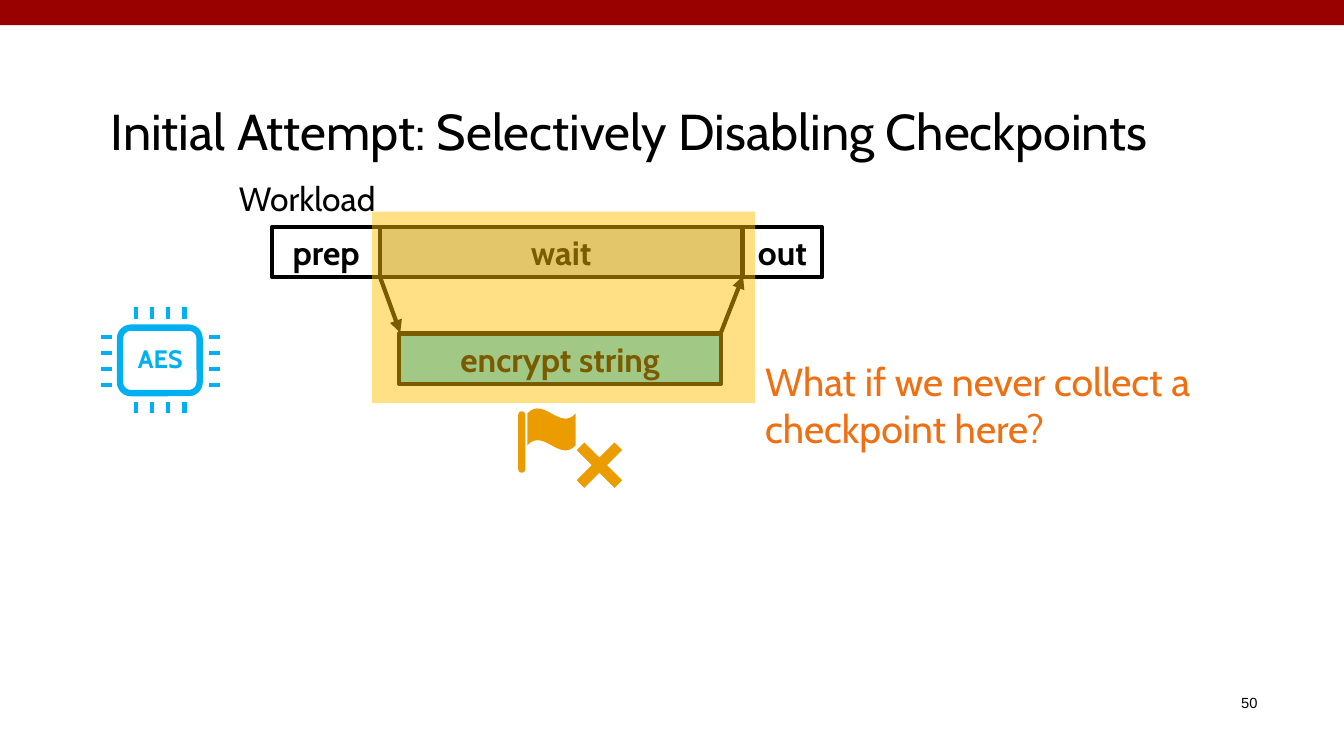
"""Build the slide on selectively disabling checkpoints."""
from lxml.etree import SubElement
from pptx import Presentation
from pptx.dml.color import RGBColor
from pptx.enum.shapes import MSO_CONNECTOR as Connector, MSO_SHAPE as Shape
from pptx.enum.text import MSO_ANCHOR as Anchor, PP_ALIGN as Align
from pptx.oxml.ns import qn
from pptx.util import Inches, Pt

COLORS = {
    "banner": "990000", "black": "000000", "white": "FFFFFF", "gray": "CCCCCC",
    "accelerator": "4BD0FF", "chip": "00B0F0", "flag": "EA9C00",
    "question": "EE7012", "highlight": "FFC000",
}
PIN_LENGTH = 0.11
PIN_PITCH = 0.16


def rgb(name):
    return RGBColor.from_string(COLORS[name])


def write(shape, text, size, color="black", align=Align.LEFT, anchor=Anchor.TOP,
          bold=False, font="Cabin"):
    frame = shape.text_frame
    frame.word_wrap = True
    frame.vertical_anchor = anchor
    paragraph = frame.paragraphs[0]
    paragraph.alignment = align
    run = paragraph.add_run()
    run.text = text
    for key, value in {"name": font, "size": Pt(size), "bold": bold}.items():
        setattr(run.font, key, value)
    run.font.color.rgb = rgb(color)


def add_text(shapes, box, text, size, **style):
    write(shapes.add_textbox(*map(Inches, box)), text, size, **style)


def add_block(shapes, kind, box, fill=None, line=None, width=3, adjust=None):
    shape = shapes.add_shape(kind, *map(Inches, box))
    shape.shadow.inherit = False
    if fill:
        shape.fill.solid()
        shape.fill.fore_color.rgb = rgb(fill)
    else:
        shape.fill.background()
    if line:
        shape.line.color.rgb = rgb(line)
        shape.line.width = Pt(width)
    else:
        shape.line.fill.background()
    if adjust is not None:
        shape.adjustments[0] = adjust
    return shape


def add_stage(shapes, box, text, fill="white"):
    stage = add_block(shapes, Shape.RECTANGLE, box, fill, "black")
    write(stage, text, 24, align=Align.CENTER, anchor=Anchor.MIDDLE, bold=True)


def add_line(shapes, start, end, color, arrow=False):
    line = shapes.add_connector(Connector.STRAIGHT, *map(Inches, (*start, *end)))
    line.line.color.rgb = rgb(color)
    line.line.width = Pt(3)
    if arrow:
        SubElement(line.line._get_or_add_ln(), qn("a:tailEnd"), type="triangle")
    SubElement(line._element.spPr, qn("a:effectLst"))


def add_chip(shapes):
    chip = shapes.add_group_shape().shapes
    add_block(chip, Shape.FLOWCHART_ALTERNATE_PROCESS, (1.19, 3.25, 0.79, 0.65),
              line="chip", width=4.5)
    for index in range(4):
        x = 1.35 + index * PIN_PITCH
        y = 3.34 + index * PIN_PITCH
        for top in (3.05, 3.99):
            add_line(chip, (x, top), (x, top + PIN_LENGTH), "chip")
        for left in (1, 2.07):
            add_line(chip, (left, y), (left + PIN_LENGTH, y), "chip")
    add_text(chip, (1.15, 3.36, 0.88, 0.4), "AES", 18, color="chip",
             align=Align.CENTER, bold=True)


def add_flag(shapes):
    flag = shapes.add_group_shape().shapes
    add_block(flag, Shape.WAVE, (5.23, 4.05, 0.48, 0.42), "flag")
    add_block(flag, Shape.ROUNDED_RECTANGLE, (5.14, 4.08, 0.07, 0.61), "flag",
              adjust=0.5)


def add_highlight(shapes, box, opacity):
    shape = add_block(shapes, Shape.RECTANGLE, box, "highlight")
    color = shape.fill._xPr.find(".//" + qn("a:srgbClr"))
    SubElement(color, qn("a:alpha"), val=str(opacity * 1000))


def main():
    presentation = Presentation()
    presentation.slide_width = Inches(13.33)
    presentation.slide_height = Inches(7.5)
    slide = presentation.slides.add_slide(presentation.slide_layouts[6])
    shapes = slide.shapes

    add_block(shapes, Shape.RECTANGLE, (0, 0, 13.33, 0.25), "banner")
    add_text(shapes, (1, 0.67, 11.33, 1.25),
             "Initial Attempt: Selectively Disabling Checkpoints", 36,
             anchor=Anchor.MIDDLE)
    add_text(shapes, (2.27, 1.72, 2.64, 0.5), "Workload", 24)

    add_stage(shapes, (2.7, 2.25, 1.07, 0.5), "prep")
    add_stage(shapes, (3.96, 3.31, 3.19, 0.5), "encrypt string", "accelerator")
    add_stage(shapes, (7.37, 2.25, 0.78, 0.5), "out")
    add_stage(shapes, (3.77, 2.25, 3.59, 0.5), "wait", "gray")
    add_line(shapes, (3.77, 2.75), (3.97, 3.3), "black", arrow=True)
    add_line(shapes, (7.15, 3.3), (7.37, 2.74), "black", arrow=True)

    add_chip(shapes)
    add_flag(shapes)
    cross = add_block(shapes, Shape.CROSS, (5.68, 4.35, 0.53, 0.53), "flag",
                      adjust=0.4)
    cross.rotation = 45
    add_text(shapes, (7.49, 3.5, 4.43, 1.04),
             "What if we never collect a checkpoint here?", 28, color="question")
    add_text(shapes, (9.79, 6.83, 2.78, 0.5), "50", 10.5, align=Align.RIGHT,
             font="Arial")
    add_highlight(shapes, (3.69, 2.1, 3.8, 1.9), 48)
    presentation.save("out.pptx")


if __name__ == "__main__":
    main()
